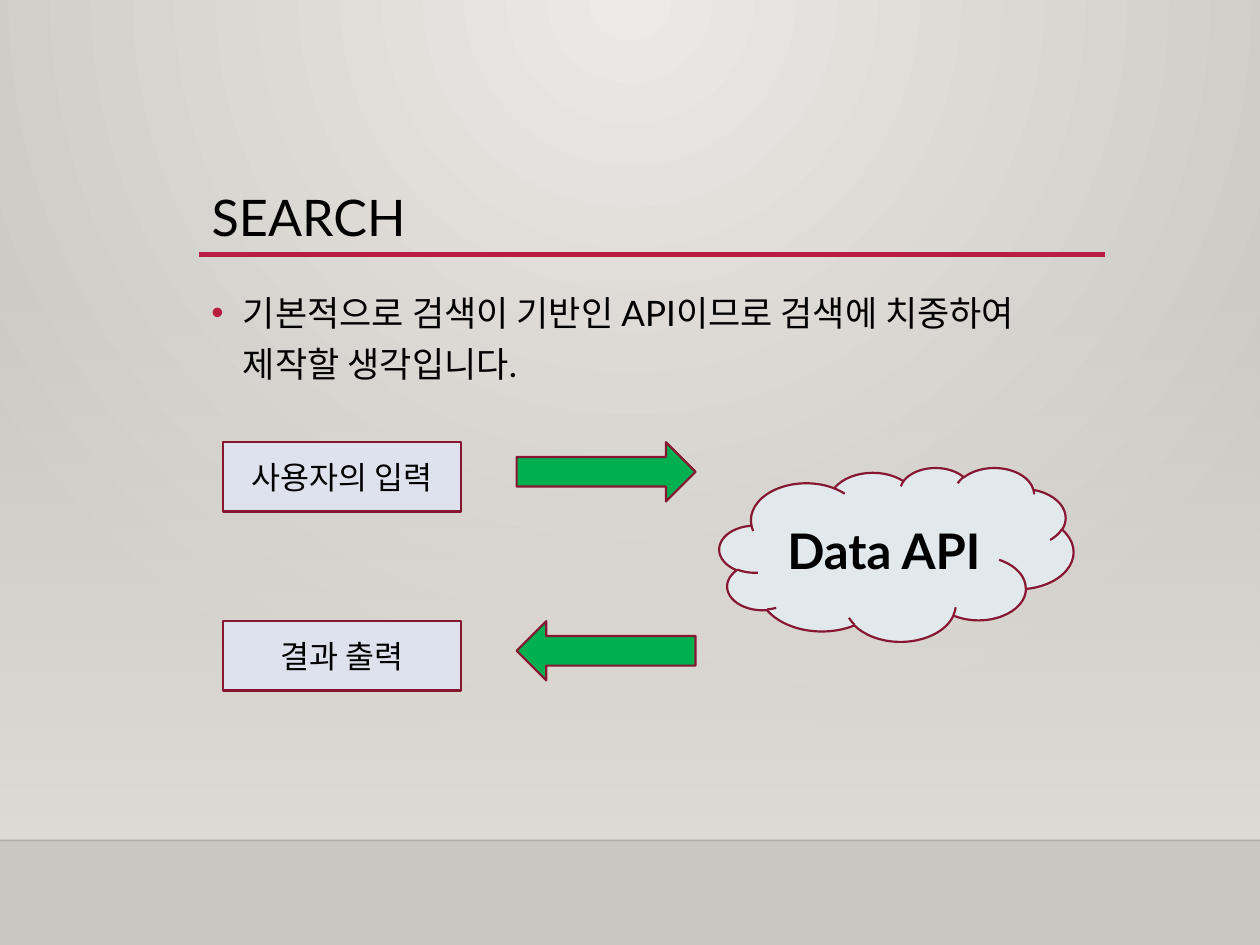
from lxml.etree import SubElement
from pptx import Presentation
from pptx.dml.color import RGBColor
from pptx.enum.shapes import MSO_CONNECTOR, MSO_SHAPE
from pptx.enum.text import MSO_ANCHOR, MSO_AUTO_SIZE, PP_ALIGN
from pptx.oxml.ns import qn
from pptx.util import Inches, Pt

# Content
TITLE = "SEARCH"
BULLET = "기본적으로 검색이 기반인 API이므로 검색에 치중하여 제작할 생각입니다."
STEPS = [("사용자의 입력", 0), ("결과 출력", 180)]  # label, arrow rotation
SERVICE = "Data API"

# Style and layout, in inches
FONT = "Lato"
COLORS = {"text": "000000", "accent": "B71E42", "outline": "871631",
          "step": "DEE2ED", "arrow": "00B050", "cloud": "E1E9EC",
          "glow": "ECEAE7", "edge": "CAC7C1", "wall": "DFDBD5", "floor": "000001"}
WIDTH, HEIGHT = 10, 7.5
LEFT, CONTENT_WIDTH = 1.58, 7.19
RULE_Y, WALL_Y, FLOOR_Y = 2.02, 2.2, 6.67
FLOW_TOP, ROW_PITCH = 3.51, 1.42
STEP_X, STEP_SIZE = 1.77, (1.89, 0.55)
ARROW_X, ARROW_SIZE = 4.1, (1.42, 0.47)
CLOUD_AREA = (5.71, 3.71, 2.81, 1.38)


def color(name):
    return RGBColor.from_string(COLORS[name])


def inches(*values):
    return [Inches(value) for value in values]


def set_gradient(fill, start, end):
    fill.gradient()
    for stop, name in zip(fill.gradient_stops, (start, end)):
        stop.color.rgb = color(name)


def set_alpha(element, percent):
    SubElement(element, qn("a:alpha"), val=str(percent * 1000))


def write(shape, text, size, align, anchor, bold=False):
    frame = shape.text_frame
    frame.word_wrap = True
    frame.auto_size = MSO_AUTO_SIZE.NONE
    frame.vertical_anchor = anchor
    frame.text = text
    para = frame.paragraphs[0]
    para.alignment = align
    font = para.runs[0].font
    font.name, font.size, font.bold = FONT, Pt(size), bold
    font.color.rgb = color("text")
    return para


def add_shape(kind, area, fill, text=None, size=18, bold=False):
    shape = page.shapes.add_shape(kind, *inches(*area))
    shape.shadow.inherit = False
    shape.fill.solid()
    shape.fill.fore_color.rgb = color(fill)
    shape.line.color.rgb = color("outline")
    shape.line.width = Pt(1.25)
    if text:
        write(shape, text, size, PP_ALIGN.CENTER, MSO_ANCHOR.MIDDLE, bold)
    return shape


def add_rule(left, right, y, name, width):
    rule = page.shapes.add_connector(MSO_CONNECTOR.STRAIGHT, *inches(left, y, right, y))
    rule.line.color.rgb = color(name)
    rule.line.width = Pt(width)
    SubElement(rule._element.spPr, qn("a:effectLst"))
    return rule


deck = Presentation()
deck.slide_width, deck.slide_height = inches(WIDTH, HEIGHT)
page = deck.slides.add_slide(deck.slide_layouts[5])

# Background glow, centred on the top edge
set_gradient(page.background.fill, "glow", "edge")
gradient = next(page._element.iter(qn("a:gradFill")))
gradient.remove(gradient.find(qn("a:lin")))
circle = SubElement(gradient, qn("a:path"), path="circle")
SubElement(circle, qn("a:fillToRect"), l="43000", t="0", r="43000", b="100000")

# Wall that fades in towards the floor line
wall = add_shape(MSO_SHAPE.RECTANGLE, (0, WALL_Y, WIDTH, FLOOR_Y - WALL_Y), "wall")
wall.line.fill.background()
set_gradient(wall.fill, "wall", "wall")
wall.fill.gradient_angle = 270
set_alpha(next(wall._element.spPr.iter(qn("a:srgbClr"))), 0)

floor = add_rule(0, WIDTH, FLOOR_Y, "floor", 1)
set_alpha(next(floor._element.spPr.iter(qn("a:srgbClr"))), 20)
add_rule(LEFT, LEFT + CONTENT_WIDTH, RULE_Y, "accent", 2.5)

# Title
title = page.shapes.title
title.left, title.top, title.width, title.height = inches(LEFT, 1.47, CONTENT_WIDTH, 0.56)
write(title, TITLE, 28.8, PP_ALIGN.LEFT, MSO_ANCHOR.MIDDLE).line_spacing = 0.9

# Bullet text
body = page.shapes.add_textbox(*inches(LEFT, WALL_Y, CONTENT_WIDTH, 0.99))
para = write(body, BULLET, 20, PP_ALIGN.LEFT, MSO_ANCHOR.TOP)
para.line_spacing = 1.2
para.space_before = Pt(10)
props = para._p.get_or_add_pPr()
props.set("marL", str(Inches(0.25)))
props.set("indent", str(-Inches(0.25)))
SubElement(SubElement(props, qn("a:buClr")), qn("a:srgbClr"), val=COLORS["accent"])
SubElement(props, qn("a:buFont"), typeface="Arial")
SubElement(props, qn("a:buChar"), char="•")

# Flow between the user and the service
for row, (label, rotation) in enumerate(STEPS):
    y = FLOW_TOP + row * ROW_PITCH
    add_shape(MSO_SHAPE.RECTANGLE, (STEP_X, y, *STEP_SIZE), "step", label)
    arrow = add_shape(MSO_SHAPE.RIGHT_ARROW, (ARROW_X, y, *ARROW_SIZE), "arrow")
    arrow.rotation = rotation
add_shape(MSO_SHAPE.CLOUD, CLOUD_AREA, "cloud", SERVICE, 28, True)

deck.save("out.pptx")
